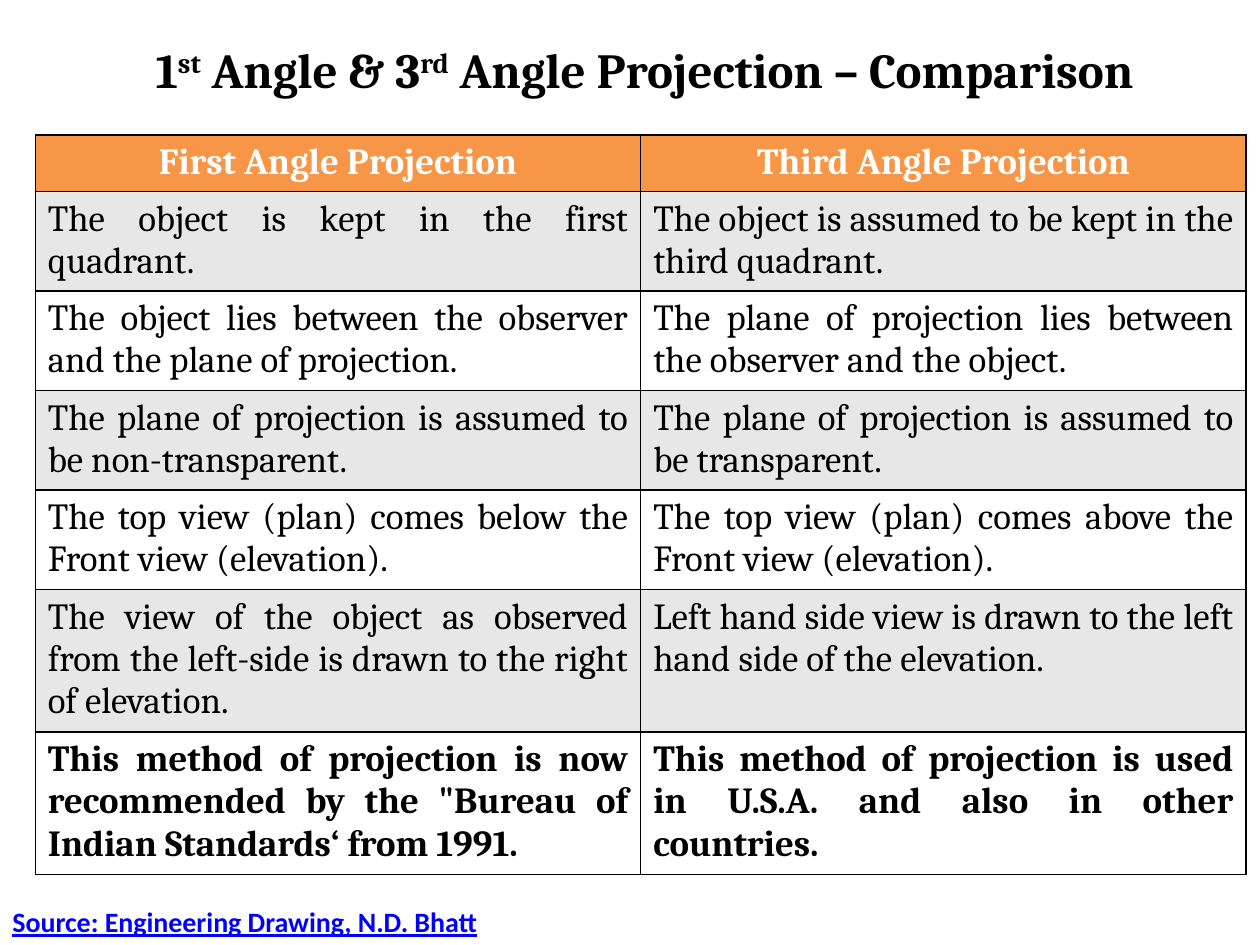
from lxml.etree import SubElement
from pptx import Presentation
from pptx.dml.color import RGBColor
from pptx.enum.text import MSO_ANCHOR, MSO_AUTO_SIZE, PP_ALIGN
from pptx.oxml.ns import qn
from pptx.util import Inches, Pt

COLORS = {"text": "000000", "header": "F79646", "band": "E7E7E7",
          "plain": "FFFFFF", "source": "0000FF"}
TITLE = [("1", False), ("st", True), (" Angle & 3", False), ("rd", True),
         (" Angle Projection – Comparison", False)]
ROWS = [
    ("First Angle Projection", "Third Angle Projection"),
    ("The object is kept in the first quadrant.",
     "The object is assumed to be kept in the third quadrant."),
    ("The object lies between the observer and the plane of projection.",
     "The plane of projection lies between the observer and the object."),
    ("The plane of projection is assumed to be non-transparent.",
     "The plane of projection is assumed to be transparent."),
    ("The top view (plan) comes below the Front view (elevation).",
     "The top view (plan) comes above the Front view (elevation)."),
    ("The view of the object as observed from the left-side is drawn to the right of elevation.",
     "Left hand side view is drawn to the left hand side of the elevation."),
    ('This method of projection is now recommended by the "Bureau of Indian Standards‘ from 1991.',
     "This method of projection is used in U.S.A. and also in other countries."),
]
LINES = [1, 2, 2, 2, 2, 3, 3]
LINE_HEIGHT, ROW_PADDING = 0.34, 0.11
SOURCE = "Source: Engineering Drawing, N.D. Bhatt"


def style(font, name, size, color, bold):
    font.name, font.size, font.bold = name, Pt(size), bold
    font.color.rgb = RGBColor.from_string(COLORS[color])


def place(sp, left, top, width, height):
    sp.left, sp.top, sp.width, sp.height = map(Inches, (left, top, width, height))


def add_borders(cell):
    tcPr = cell._tc.get_or_add_tcPr()
    for i, side in enumerate(("lnL", "lnR", "lnT", "lnB")):
        ln = tcPr.makeelement(qn(f"a:{side}"), {"w": str(Pt(1))})
        fill = SubElement(ln, qn("a:solidFill"))
        SubElement(fill, qn("a:srgbClr"), val=COLORS["text"])
        tcPr.insert(i, ln)


def add_title(s):
    sp = s.shapes.title
    place(sp, 0.55, 0.26, 9.13, 0.57)
    tf = sp.text_frame
    tf.auto_size = MSO_AUTO_SIZE.NONE
    tf.vertical_anchor = MSO_ANCHOR.MIDDLE
    p = tf.paragraphs[0]
    p.alignment = PP_ALIGN.CENTER
    for text, raised in TITLE:
        r = p.add_run()
        r.text = text
        style(r.font, "Cambria", 28, "text", True)
        if raised:
            r._r.get_or_add_rPr().set("baseline", "30000")


def add_comparison(s):
    heights = [n * LINE_HEIGHT + ROW_PADDING for n in LINES]
    table = s.shapes.add_table(len(ROWS), 2, Inches(0.28), Inches(1.07),
                               Inches(9.61), Inches(sum(heights))).table
    table.first_row = table.horz_banding = False
    for i, (texts, height) in enumerate(zip(ROWS, heights)):
        table.rows[i].height = Inches(height)
        header, last = i == 0, i == len(ROWS) - 1
        fill = "header" if header else "band" if i % 2 else "plain"
        for j, text in enumerate(texts):
            cell = table.cell(i, j)
            cell.fill.solid()
            cell.fill.fore_color.rgb = RGBColor.from_string(COLORS[fill])
            add_borders(cell)
            p = cell.text_frame.paragraphs[0]
            p.text = text
            p.alignment = PP_ALIGN.CENTER if header else PP_ALIGN.JUSTIFY
            style(p.runs[0].font, "Cambria", 21, "plain" if header else "text",
                  header or last)


def add_source(s):
    sp = s.shapes.add_textbox(0, Inches(7.13), Inches(4.98), Inches(0.37))
    tf = sp.text_frame
    tf.word_wrap = True
    tf.text = SOURCE
    font = tf.paragraphs[0].runs[0].font
    style(font, "Calibri", 16, "source", True)
    font.underline = True


def main():
    prs = Presentation()
    prs.slide_width, prs.slide_height = Inches(10), Inches(7.5)
    s = prs.slides.add_slide(prs.slide_layouts[5])
    add_title(s)
    add_comparison(s)
    add_source(s)
    prs.save("out.pptx")


if __name__ == "__main__":
    main()
